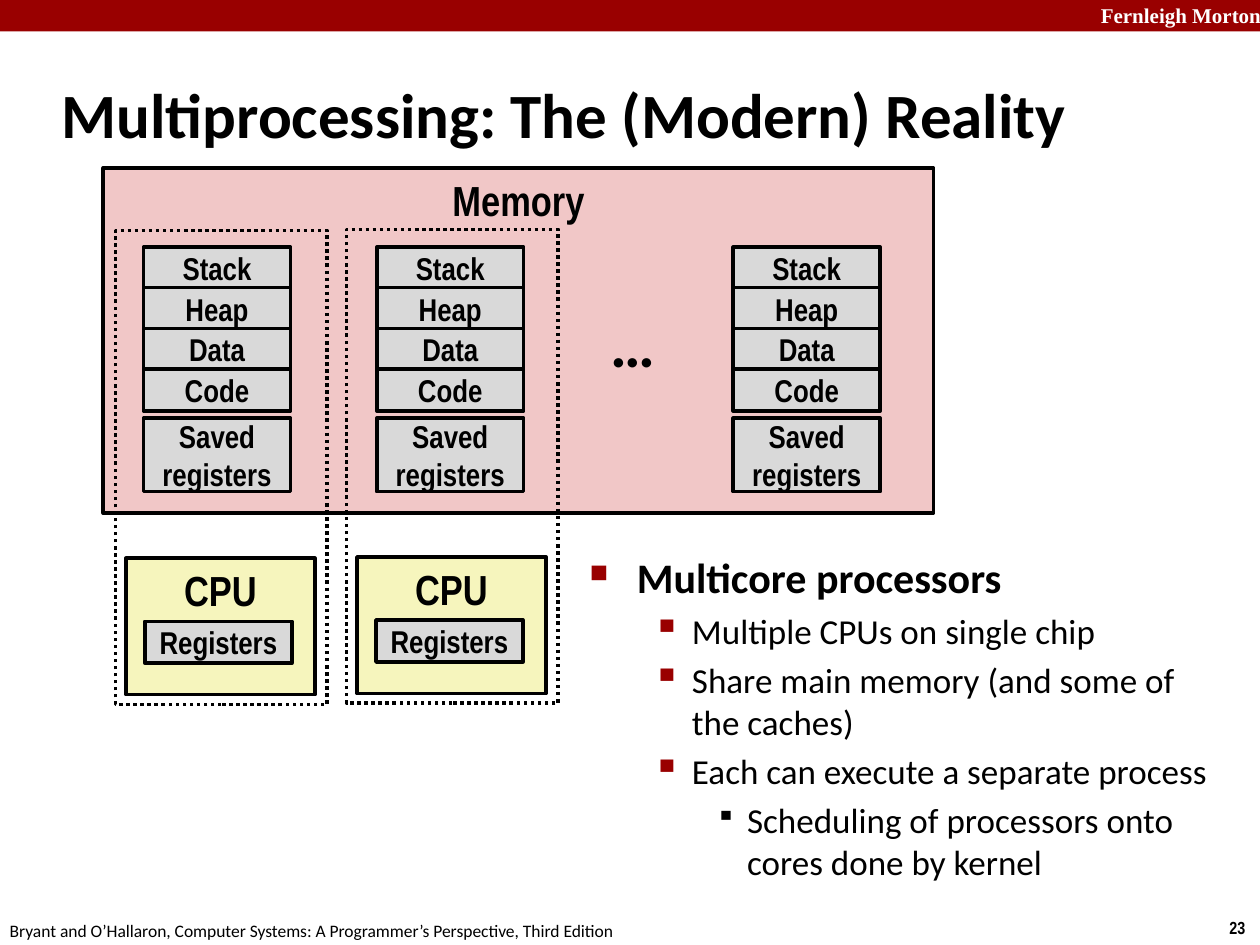
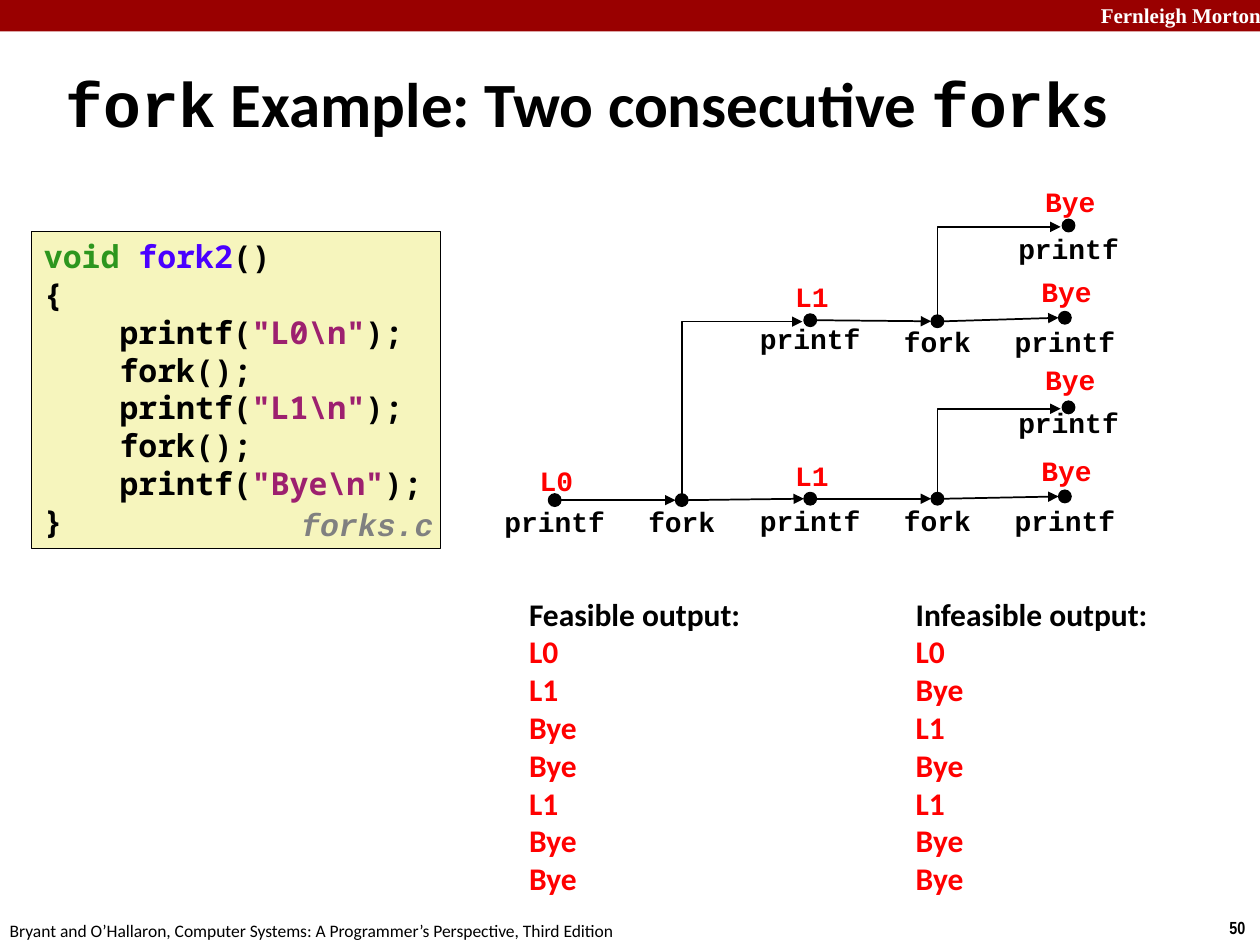
import dataclasses

import lxml.etree
import pptx
import pptx.dml.color
import pptx.enum.dml
import pptx.enum.shapes
import pptx.enum.text
import pptx.oxml.ns
import pptx.util

Pt = pptx.util.Pt
Shapes = pptx.enum.shapes.MSO_SHAPE
Connectors = pptx.enum.shapes.MSO_CONNECTOR
Align = pptx.enum.text.PP_ALIGN
Anchor = pptx.enum.text.MSO_ANCHOR
DOTTED = pptx.enum.dml.MSO_LINE.ROUND_DOT


@dataclasses.dataclass(frozen=True)
class Theme:
    black: str = "000000"
    white: str = "FFFFFF"
    band: str = "990000"
    memory: str = "F1C7C7"
    panel: str = "F6F5BD"
    cell: str = "D9D9D9"
    output: str = "FF0000"
    keyword: str = "2D961E"
    function: str = "4A00FF"
    string: str = "9D206F"
    caption: str = "808080"
    body_font: str = "Calibri"
    diagram_font: str = "Arial Narrow"
    code_font: str = "Courier New"
    listing_font: str = "Noto Sans Mono"
    brand_font: str = "Times New Roman"
    title_size: int = 36
    heading_size: int = 24
    body_size: int = 20
    label_size: int = 18
    node_size: int = 16
    brand_size: int = 12
    footer_size: int = 10


THEME = Theme()


def font(name, size, color=THEME.black, **extra):
    return {"name": name, "size": Pt(size), "bold": True, "color": color, **extra}


TITLE = font(THEME.body_font, THEME.title_size)
HEADING = font(THEME.body_font, THEME.heading_size)
BODY = font(THEME.body_font, THEME.body_size, bold=False)
OUTPUT_HEADING = font(THEME.body_font, THEME.label_size)
OUTPUT_LINE = {**OUTPUT_HEADING, "color": THEME.output}
BOX_TITLE = font(THEME.diagram_font, THEME.heading_size)
CELL = font(THEME.diagram_font, THEME.label_size)
LISTING = font(THEME.listing_font, THEME.label_size)
NODE = font(THEME.code_font, THEME.node_size)
NODE_OUTPUT = {**NODE, "color": THEME.output}
CAPTION = font(THEME.code_font, THEME.label_size, THEME.caption, italic=True)
BRAND = font(THEME.brand_font, THEME.brand_size, THEME.white)
NUMBER = font(THEME.diagram_font, THEME.footer_size)
FOOTER = font(THEME.body_font, THEME.footer_size, bold=False)


def apply(target, values):
    for name, value in values.items():
        setattr(target, name, value)


def rgb(color):
    return pptx.dml.color.RGBColor.from_string(color)


def add_xml(parent, tag, **attributes):
    element = lxml.etree.SubElement(parent, pptx.oxml.ns.qn(tag))
    for name, value in attributes.items():
        element.set(name, value)
    return element


class Deck:
    def __init__(self):
        self.presentation = pptx.Presentation()
        apply(self.presentation, {"slide_width": Pt(720), "slide_height": Pt(540)})
        self.slide = None

    def start(self, number, place, title_runs):
        self.slide = self.presentation.slides.add_slide(self.presentation.slide_layouts[5])
        self.box((0, 0, 720, 18), THEME.band, width=0)
        self.text((622, -2, 103, 21.6), "Fernleigh Morton", BRAND)
        self.text((695.5, 520.5, 24.5, 19.4), str(number), NUMBER)
        self.text((-1.5, 522, 366, 19.4), "Bryant and O’Hallaron, Computer Systems: "
                  "A Programmer’s Perspective, Third Edition", FOOTER)
        title = self.slide.shapes.title
        apply(title, dict(zip(("left", "top", "width", "height"), map(Pt, place))))
        self.fill_text(title, [(title_runs, {})], anchor=Anchor.MIDDLE, wrap=True)

    def fill_text(self, shape, paragraphs, align=Align.LEFT, anchor=Anchor.TOP, wrap=False):
        frame = shape.text_frame
        apply(frame, {"word_wrap": wrap, "vertical_anchor": anchor,
                      "auto_size": pptx.enum.text.MSO_AUTO_SIZE.NONE})
        for index, (runs, values) in enumerate(paragraphs):
            paragraph = frame.add_paragraph() if index else frame.paragraphs[0]
            apply(paragraph, {"alignment": align, **values})
            for text, style in runs:
                run = paragraph.add_run()
                run.text = text
                apply(run.font, {key: style[key] for key in style if key != "color"})
                run.font.color.rgb = rgb(style["color"])
        return frame

    def text(self, place, text, style, align=Align.LEFT, **values):
        return self.text_block(place, [([(text, style)], values)], align=align)

    def text_block(self, place, paragraphs, **options):
        shape = self.slide.shapes.add_textbox(*map(Pt, place))
        return self.fill_text(shape, paragraphs, **options)

    def box(self, place, fill=None, text=None, style=None, width=2.0, dash=None,
            anchor=Anchor.TOP, kind=Shapes.RECTANGLE):
        shape = self.slide.shapes.add_shape(kind, *map(Pt, place))
        shape.shadow.inherit = False
        if fill:
            shape.fill.solid()
            shape.fill.fore_color.rgb = rgb(fill)
        else:
            shape.fill.background()
        if width:
            shape.line.color.rgb = rgb(THEME.black)
            apply(shape.line, {"width": Pt(width), "dash_style": dash})
        else:
            shape.line.fill.background()
        if text:
            self.fill_text(shape, [([(text, style)], {})], Align.CENTER, anchor, wrap=True)
        return shape

    def cell(self, place, text):
        self.box(place, THEME.cell, text, CELL, anchor=Anchor.MIDDLE)

    def bullets(self, place, items):
        levels = [(HEADING, 27, 27, 4.8, "■", 60, THEME.band),
                  (BODY, 58.5, 22.5, 4, "▪", 110, THEME.band),
                  (BODY, 90, 18, 4, "▪", 80, THEME.black)]
        paragraphs = [([(text, levels[level][0])], {"level": level, "space_before": Pt(levels[level][3])})
                      for level, text in items]
        frame = self.text_block(place, paragraphs, wrap=True)
        for paragraph, (level, _) in zip(frame.paragraphs, items):
            _, margin, hanging, _, mark, percent, color = levels[level]
            properties = self.indent(paragraph, margin, -hanging)
            add_xml(add_xml(properties, "a:buClr"), "a:srgbClr", val=color)
            add_xml(properties, "a:buSzPct", val=str(percent * 1000))
            add_xml(properties, "a:buChar", char=mark)

    def indent(self, paragraph, margin, first=0):
        properties = paragraph._p.get_or_add_pPr()
        properties.set("marL", str(Pt(margin)))
        properties.set("indent", str(Pt(first)))
        return properties

    def arrow(self, start, end, kind=Connectors.STRAIGHT):
        connector = self.slide.shapes.add_connector(kind, *map(Pt, (*start, *end)))
        connector.line.color.rgb = rgb(THEME.black)
        connector.line.width = Pt(1)
        add_xml(connector.line._get_or_add_ln(), "a:tailEnd", type="triangle")
        add_xml(connector._element.spPr, "a:effectLst")
        return connector

    def up_then_right(self, start, end):
        center_x, center_y = (start[0] + end[0]) / 2, (start[1] + end[1]) / 2
        half_width, half_height = (end[0] - start[0]) / 2, (start[1] - end[1]) / 2
        connector = self.arrow((center_x + half_height, center_y + half_width),
                               (center_x - half_height, center_y - half_width), Connectors.ELBOW)
        properties = connector._element.spPr
        properties.xfrm.set("rot", str(90 * 60000))
        properties.prstGeom.set("prst", "bentConnector2")

    def node(self, x, y, name, name_top, output=None, output_top=0):
        self.box((x - 3.6, y - 3.6, 7.2, 7.2), THEME.black, width=0.75, kind=Shapes.OVAL)
        self.text((x - 37.5, name_top, 75, 26.6), name, NODE, Align.CENTER)
        if output:
            self.text((x - 21, output_top, 44, 26.6), output, NODE_OUTPUT, Align.CENTER)


def build_multiprocessing(deck):
    deck.start(23, (28, 34.5, 668, 60), [("Multiprocessing: The (Modern) Reality", TITLE)])
    deck.bullets((329.8, 311.8, 372, 210), [
        (0, "Multicore processors"),
        (1, "Multiple CPUs on single chip"),
        (1, "Share main memory (and some of the caches)"),
        (1, "Each can execute a separate process"),
        (2, "Scheduling of processors onto cores done by kernel")])
    deck.box((59, 96, 474.5, 197.3), THEME.memory, "Memory", BOX_TITLE)
    for left in (82, 215.3, 419):
        for row, segment in enumerate(("Stack", "Heap", "Data", "Code")):
            deck.cell((left, 141.2 + 23.2 * row, 84, 24), segment)
        deck.cell((left, 239, 84, 42), "Saved registers")
    deck.text((342, 170.6, 40.3, 51), "…", TITLE)
    for left, top in ((72, 319), (204, 318.3)):
        deck.box((left, top, 108, 78), THEME.panel, "CPU", BOX_TITLE)
        deck.cell((left + 10.8, top + 36, 84, 24), "Registers")
        deck.box((left - 6, top - 187.2, 121, 270.7), dash=DOTTED)


def build_fork_example(deck):
    code_title = {**TITLE, "name": THEME.code_font}
    deck.start(50, (30.2, 36, 672, 45.4), [
        ("fork", code_title), (" Example: Two consecutive ", TITLE),
        ("fork", code_title), ("s", TITLE)])

    def printf(text):
        return [("printf(", LISTING), (f'"{text}\\n"', {**LISTING, "color": THEME.string}),
                (");", LISTING)]

    fork_call = [("fork();", LISTING)]
    body = [printf("L0"), fork_call, printf("L1"), fork_call, printf("Bye")]
    signature = [("void ", {**LISTING, "color": THEME.keyword}),
                 ("fork2", {**LISTING, "color": THEME.function}), ("()", LISTING)]
    lines = [signature, [("{", LISTING)], *body, [("}", LISTING)]]
    listing = deck.box((18, 132, 233.5, 181.4), THEME.panel, width=0.25)
    frame = deck.fill_text(listing, [(runs, {}) for runs in lines])
    for paragraph in frame.paragraphs[2:-1]:
        deck.indent(paragraph, 43.2)
    deck.text((165, 286.6, 95, 28), "forks.c", CAPTION, line_spacing=0.94)

    nodes = {
        "start": (317, 285.8, "printf", 285, "L0", 261.4),
        "first fork": (389.6, 285.8, "fork", 285),
        "parent": (463, 285, "printf", 284.4, "L1", 258.5),
        "parent fork": (535.7, 285, "fork", 284.4),
        "parent end": (608.5, 283.7, "printf", 284.4, "Bye", 255.6),
        "parent child": (610.6, 232.8, "printf", 228.2, "Bye", 203.8),
        "child": (463, 183, "printf", 180, "L1", 156.2),
        "child fork": (535.7, 183.6, "fork", 182.2),
        "child end": (608.5, 181.6, "printf", 182.2, "Bye", 153.4),
        "child child": (610.6, 128.9, "printf", 128.9, "Bye", 102.2)}
    for values in nodes.values():
        deck.node(*values)
    for chain in (("start", "first fork", "parent", "parent fork", "parent end"),
                  ("child", "child fork", "child end")):
        for source, target in zip(chain, chain[1:]):
            (start_x, start_y), (end_x, end_y) = nodes[source][:2], nodes[target][:2]
            deck.arrow((start_x + 3.6, start_y), (end_x - 3.6, end_y))
    for source, target in (("first fork", "child"), ("parent fork", "parent child"),
                           ("child fork", "child child")):
        (start_x, start_y), (end_x, end_y) = nodes[source][:2], nodes[target][:2]
        deck.up_then_right((start_x, start_y - 3), (end_x - 4.5, end_y + 0.8))

    for left, width, heading, outputs in (
            (295.2, 137, "Feasible output:", "L0 L1 Bye Bye L1 Bye Bye"),
            (516.2, 149, "Infeasible output:", "L0 Bye L1 Bye L1 Bye Bye")):
        rows = [(heading, OUTPUT_HEADING)] + [(word, OUTPUT_LINE) for word in outputs.split()]
        deck.text_block((left, 336.2, width, 181.4), [([row], {}) for row in rows])


def main():
    deck = Deck()
    build_multiprocessing(deck)
    build_fork_example(deck)
    deck.presentation.save("out.pptx")


if __name__ == "__main__":
    main()
